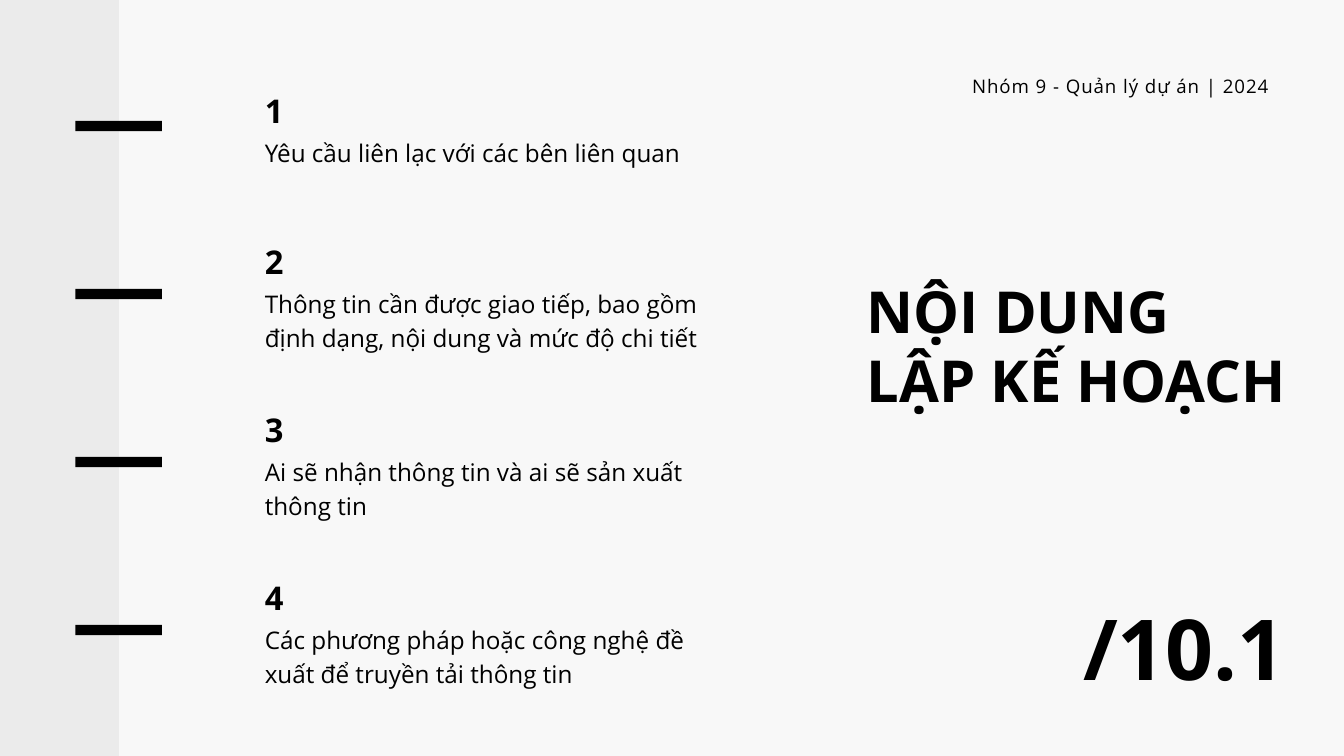
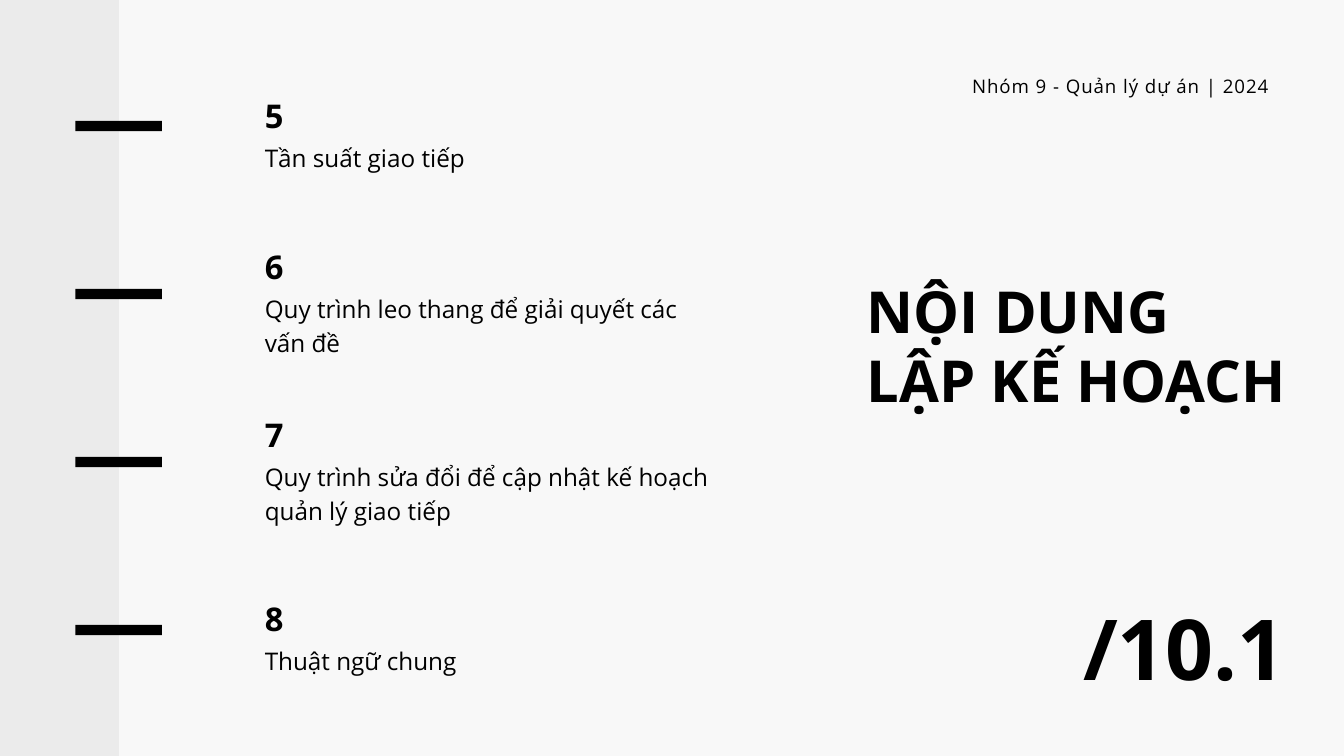
from dataclasses import dataclass

from lxml import etree
from pptx import Presentation
from pptx import util as u
from pptx.dml.color import RGBColor
from pptx.enum import shapes, text
from pptx.oxml import ns

PX = 9144
WIDTH, HEIGHT = 2000, 1125
BAND_WIDTH = 177
DASH_TOP, DASH_STEP, DASH_COUNT = 180, 250, 4
ITEM_LEFT, ITEM_WIDTH = 394, 678
BODY_OFFSET = 73


@dataclass(frozen=True)
class Style:
    size: int
    leading: float
    bold: bool = False
    spacing: int = 0
    align: text.PP_ALIGN = text.PP_ALIGN.LEFT


@dataclass(frozen=True)
class Theme:
    font: str = "Open Sans"
    ink: RGBColor = RGBColor(0, 0, 0)
    paper: RGBColor = RGBColor(0xF8, 0xF8, 0xF8)
    band_alpha: int = 5
    title: Style = Style(62, 74.4, bold=True)
    header: Style = Style(20, 24, spacing=1, align=text.PP_ALIGN.RIGHT)
    number: Style = Style(35, 49, bold=True)
    body: Style = Style(26, 36.4)
    section: Style = Style(90, 126, bold=True)


THEME = Theme()
TITLE = "NỘI DUNG\nLẬP KẾ HOẠCH"
HEADER = "Nhóm 9 - Quản lý dự án | 2024"
SECTION = "/10.1"

AGENDAS = [
    [
        (125, "Yêu cầu liên lạc với các bên liên quan"),
        (350, "Thông tin cần được giao tiếp, bao gồm định dạng, nội dung và mức độ chi tiết"),
        (600, "Ai sẽ nhận thông tin và ai sẽ sản xuất thông tin"),
        (850, "Các phương pháp hoặc công nghệ đề xuất để truyền tải thông tin"),
    ],
    [
        (133, "Tần suất giao tiếp"),
        (357, "Quy trình leo thang để giải quyết các vấn đề"),
        (607, "Quy trình sửa đổi để cập nhật kế hoạch quản lý giao tiếp"),
        (882, "Thuật ngữ chung"),
    ],
]


def px(*lengths):
    return [u.Emu(n * PX) for n in lengths]


def write(sp, words, style):
    tf = sp.text_frame
    tf.text = words
    tf.word_wrap = True
    tf.auto_size = text.MSO_AUTO_SIZE.SHAPE_TO_FIT_TEXT
    tf.vertical_anchor = text.MSO_ANCHOR.TOP
    tf.margin_left = tf.margin_right = tf.margin_top = tf.margin_bottom = 0
    for p in tf.paragraphs:
        p.alignment = style.align
        p.line_spacing = u.Pt(style.leading)
        p.space_before = p.space_after = u.Pt(0)
        for r in p.runs:
            r.font.name = THEME.font
            r.font.size = u.Pt(style.size)
            r.font.bold = style.bold
            r.font.color.rgb = THEME.ink
            if style.spacing:
                r.font._element.set("spc", str(style.spacing * 100))


def add_text(tree, words, box, style):
    write(tree.add_textbox(*px(*box)), words, style)


def add_bar(s, box, alpha=None):
    sp = s.shapes.add_shape(shapes.MSO_SHAPE.RECTANGLE, *px(*box))
    sp.shadow.inherit = False
    sp.line.fill.background()
    sp.fill.solid()
    sp.fill.fore_color.rgb = THEME.ink
    if alpha is not None:
        color = sp._element.spPr.find(".//" + ns.qn("a:srgbClr"))
        etree.SubElement(color, ns.qn("a:alpha"), val=str(alpha * 1000))


def add_title(s):
    sp = s.shapes.title
    sp.left, sp.top, sp.width, sp.height = px(1290, 410, 638, 206)
    write(sp, TITLE, THEME.title)


def add_frame(s):
    add_title(s)
    add_text(s.shapes, HEADER, (1390, 111, 498, 34), THEME.header)
    add_bar(s, (0, 0, BAND_WIDTH, HEIGHT), THEME.band_alpha)
    for i in range(DASH_COUNT):
        add_bar(s, (112, DASH_TOP + i * DASH_STEP, 129, 15))
    add_text(s.shapes, SECTION, (1612, 863, 315, 167), THEME.section)


def add_item(s, number, top, words):
    group = s.shapes.add_group_shape()
    add_text(group.shapes, words, (ITEM_LEFT, top + BODY_OFFSET, ITEM_WIDTH, 97), THEME.body)
    add_text(group.shapes, str(number), (ITEM_LEFT, top, ITEM_WIDTH, 62), THEME.number)


def main():
    prs = Presentation()
    prs.slide_width, prs.slide_height = px(WIDTH, HEIGHT)
    fill = prs.slide_master.background.fill
    fill.solid()
    fill.fore_color.rgb = THEME.paper
    number = 1
    for agenda in AGENDAS:
        s = prs.slides.add_slide(prs.slide_layouts[5])
        add_frame(s)
        for top, words in agenda:
            add_item(s, number, top, words)
            number += 1
    prs.save("out.pptx")


if __name__ == "__main__":
    main()
